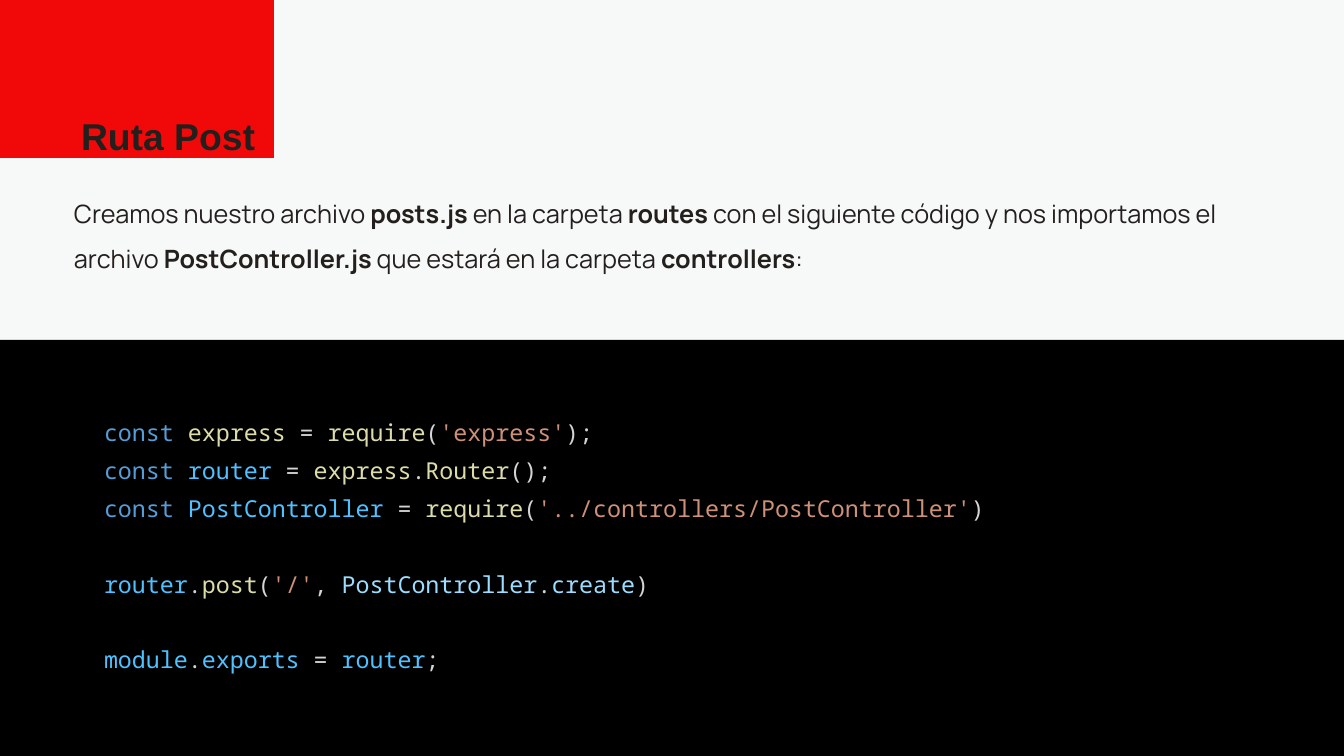
from pptx import Presentation
from pptx.dml.color import RGBColor
from pptx.enum.shapes import MSO_SHAPE
from pptx.enum.text import MSO_AUTO_SIZE
from pptx.util import Pt

PX = 18288000 / 1344
WIDTH, HEIGHT = 1344, 756

LIGHT = RGBColor(0xF7, 0xF9, 0xF8)
RED = RGBColor(0xF1, 0x09, 0x09)
BLACK = RGBColor(0x00, 0x00, 0x00)
INK = RGBColor(0x23, 0x1F, 0x1D)
KEYWORD = RGBColor(0x56, 0x9C, 0xD6)
FUNC = RGBColor(0xDC, 0xDC, 0xAA)
PLAIN = RGBColor(0xD4, 0xD4, 0xD4)
STRING = RGBColor(0xCE, 0x91, 0x78)
CONST = RGBColor(0x4F, 0xC1, 0xFF)
PROP = RGBColor(0x9C, 0xDC, 0xFE)

PANELS = [
    ((0, 0, WIDTH, HEIGHT), LIGHT),
    ((0, 340, WIDTH, HEIGHT - 340), BLACK),
    ((0, 0, 274, 158), RED),
]

TITLE = [("Ruta Post", INK, True)]

INTRO = [
    ("Creamos nuestro archivo ", INK, False),
    ("posts.js", INK, True),
    (" en la carpeta ", INK, False),
    ("routes", INK, True),
    (" con el siguiente código y nos importamos el archivo ", INK, False),
    ("PostController.js", INK, True),
    (" que estará en la carpeta ", INK, False),
    ("controllers", INK, True),
    (":", INK, False),
]

IMPORTS = [
    [("const ", KEYWORD), ("express", FUNC), (" = ", PLAIN), ("require", FUNC),
     ("(", PLAIN), ("'express'", STRING), (");", PLAIN)],
    [("const ", KEYWORD), ("router", CONST), (" = ", PLAIN), ("express", FUNC),
     (".", PLAIN), ("Router", FUNC), ("();", PLAIN)],
    [("const ", KEYWORD), ("PostController", CONST), (" = ", PLAIN), ("require", FUNC),
     ("(", PLAIN), ("'../controllers/PostController'", STRING), (")", PLAIN)],
]
ROUTES = [
    [("router", CONST), (".", PLAIN), ("post", FUNC), ("(", PLAIN), ("'/'", STRING),
     (", ", PLAIN), ("PostController", PROP), (".", PLAIN), ("create", PROP), (")", PLAIN)],
]
EXPORTS = [
    [("module", CONST), (".", PLAIN), ("exports", CONST), (" = ", PLAIN),
     ("router", CONST), (";", PLAIN)],
]
CODE_BLOCKS = [IMPORTS, ROUTES, EXPORTS]
BLOCK_GAP = 40.4


def emu(box):
    """Turn px lengths into EMU."""
    return [round(v * PX) for v in box]


def add_panel(s, box, color):
    """Draw a plain filled rectangle."""
    sp = s.shapes.add_shape(MSO_SHAPE.RECTANGLE, *emu(box))
    sp.shadow.inherit = False
    sp.fill.solid()
    sp.fill.fore_color.rgb = color
    sp.line.fill.background()


def add_text(s, box, blocks, font, size, spacing, inset):
    """Write blocks of lines, each line a list of styled pieces."""
    tf = s.shapes.add_textbox(*emu(box)).text_frame
    tf.word_wrap = True
    tf.auto_size = MSO_AUTO_SIZE.SHAPE_TO_FIT_TEXT
    tf.margin_left = tf.margin_right = tf.margin_top = tf.margin_bottom = round(inset * PX)
    p = None
    for block in blocks:
        for i, line in enumerate(block):
            first = p is None
            p = tf.paragraphs[0] if first else tf.add_paragraph()
            p.line_spacing = spacing
            if i == 0 and not first:
                p.space_before = Pt(BLOCK_GAP)
            for text, color, *bold in line:
                r = p.add_run()
                r.text = text
                r.font.name = font
                r.font.size = Pt(size)
                r.font.color.rgb = color
                r.font.bold = any(bold)


def main():
    """Build the slide."""
    prs = Presentation()
    prs.slide_width, prs.slide_height = emu((WIDTH, HEIGHT))
    s = prs.slides.add_slide(prs.slide_layouts[6])
    s.background.fill.solid()
    s.background.fill.fore_color.rgb = BLACK
    for box, color in PANELS:
        add_panel(s, box, color)
    add_text(s, (74, 183, 1168, 77), [[INTRO]], "Manrope", 27, 1.5, 0)
    add_text(s, (97, 401, 1149, 272), CODE_BLOCKS, "Noto Sans Mono", 25, 1.36, 7)
    add_text(s, (74, 97, 972, 59), [[TITLE]], "Arial", 40, 1.2, 7)
    prs.save("out.pptx")


if __name__ == "__main__":
    main()
